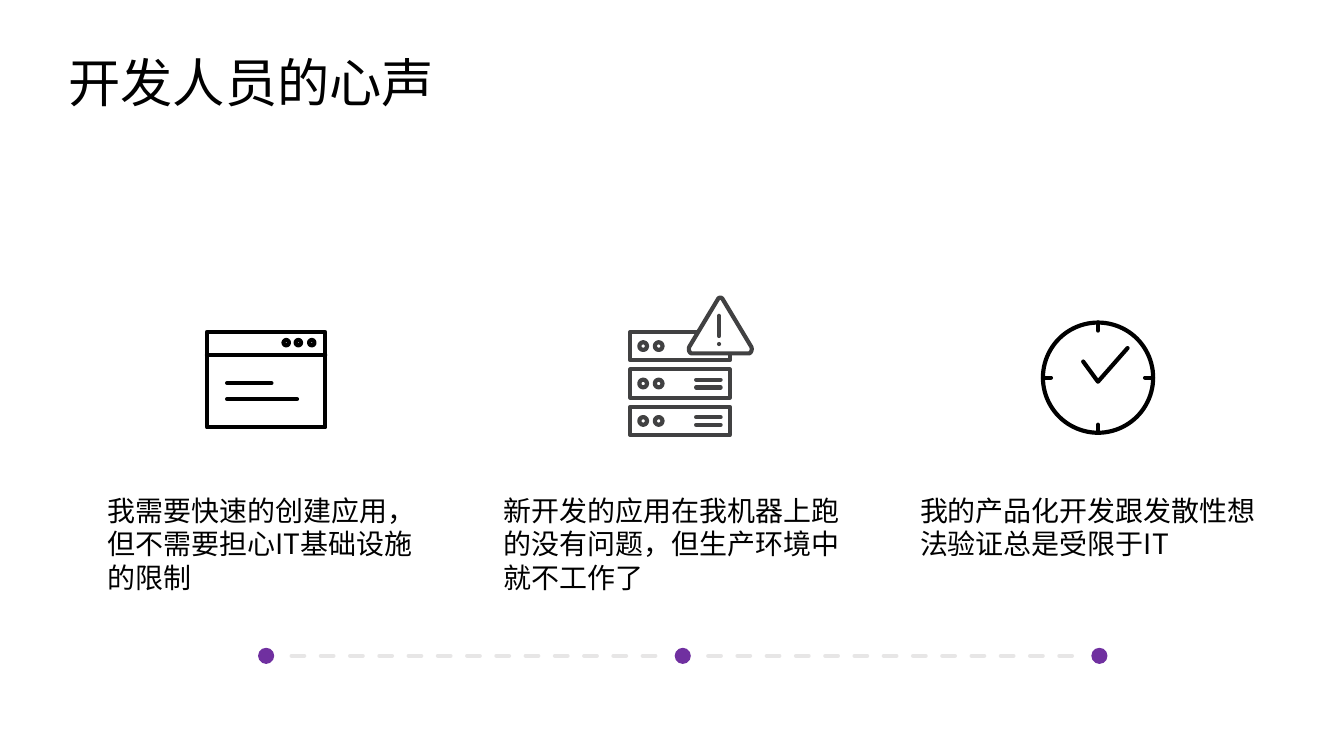
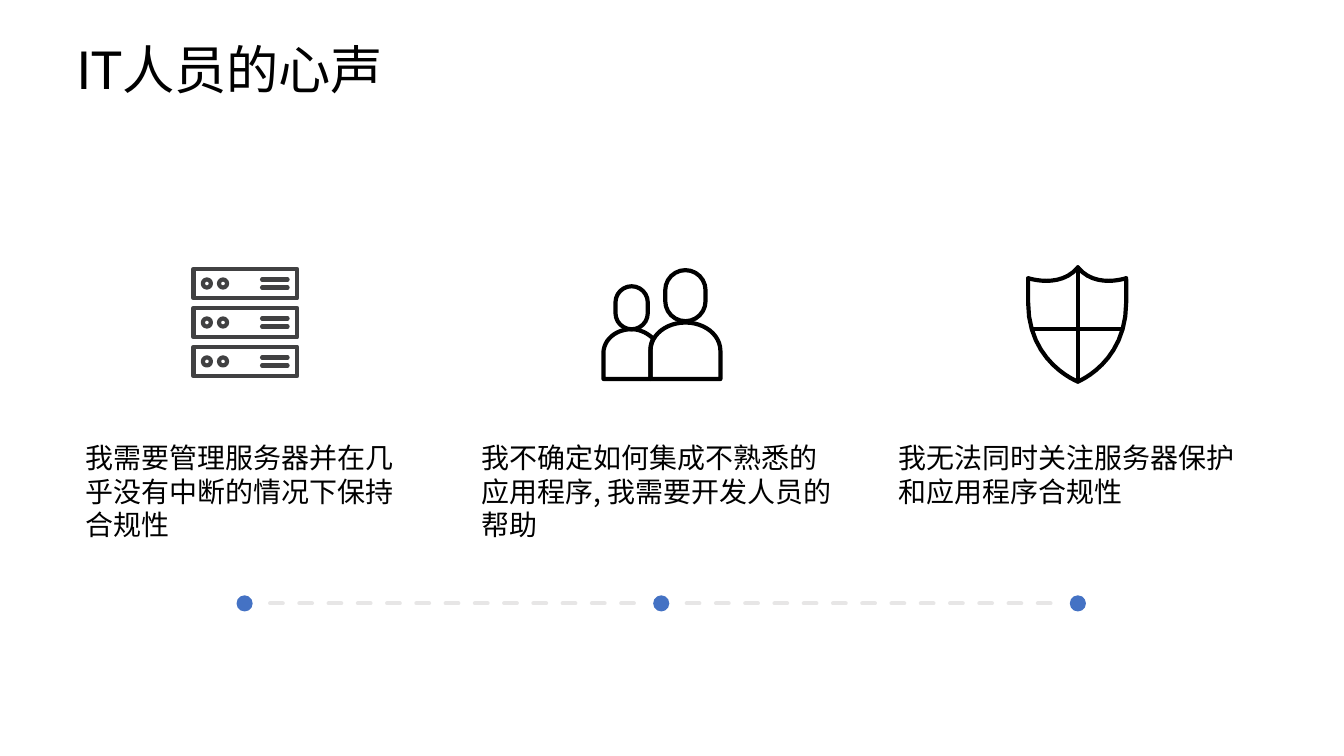
from lxml import etree
from pptx import Presentation
from pptx import util as u
from pptx.dml.color import RGBColor
from pptx.enum import dml, shapes, text
from pptx.oxml.ns import qn

COLORS = {"ink": "000000", "rack": "414142", "dash": "E7E6E6", "paper": "FFFFFF",
          "developer": "7030A0", "operator": "4472C4"}
CJK, LATIN = "Noto Sans CJK SC", "Lato"
STROKE = 2.25
COLUMN_PITCH = 3.1
CAPTION_WIDTHS = (2.6, 2.91, 2.91)
CAPTION_HEIGHTS = (0.99, 0.99, 0.74)


def rgb(name):
    """Return the palette colour called name."""
    return RGBColor.from_string(COLORS[name])


def stroke(part, color, dashed=False):
    """Give a part a round-ended line."""
    part.line.color.rgb = rgb(color)
    part.line.width = u.Pt(STROKE)
    if dashed:
        part.line.dash_style = dml.MSO_LINE.DASH
    ln = part._element.spPr.find(qn("a:ln"))
    ln.set("cap", "rnd")
    etree.SubElement(ln, qn("a:round"))


def finish(part, color, fill=None):
    """Outline a part, with a fill only when one is named."""
    part.shadow.inherit = False
    if fill:
        part.fill.solid()
        part.fill.fore_color.rgb = rgb(fill)
    else:
        part.fill.background()
    stroke(part, color)


def preset(slide, kind, left, top, width, height, color="ink"):
    """Draw an outlined preset shape."""
    part = slide.shapes.add_shape(kind, *map(u.Inches, (left, top, width, height)))
    finish(part, color)
    return part


def circle(slide, x, y, radius, color="ink"):
    """Draw an outlined circle around a centre."""
    preset(slide, shapes.MSO_SHAPE.OVAL, x - radius, y - radius, 2 * radius, 2 * radius, color)


def segment(slide, x1, y1, x2, y2, color="ink", dashed=False):
    """Draw a straight line."""
    line = slide.shapes.add_connector(shapes.MSO_CONNECTOR.STRAIGHT,
                                      *map(u.Inches, (x1, y1, x2, y2)))
    stroke(line, color, dashed)
    etree.SubElement(line._element.spPr, qn("a:effectLst"))


def curve(start, bend1, bend2, end, steps=12):
    """Return points along a cubic curve, after its start."""
    points = []
    for step in range(1, steps + 1):
        t = step / steps
        s = 1 - t
        points.append(tuple(s ** 3 * a + 3 * s * s * t * b + 3 * s * t * t * c + t ** 3 * d
                            for a, b, c, d in zip(start, bend1, bend2, end)))
    return points


def outline(slide, left, top, start, steps, closed=True, color="ink", fill=None):
    """Draw a path of points (x, y) and curves (x1, y1, x2, y2, x, y)."""
    points = [start]
    for step in steps:
        if len(step) == 2:
            points.append(step)
        else:
            points += curve(points[-1], step[:2], step[2:4], step[4:])
    placed = [(u.Inches(left + x), u.Inches(top + y)) for x, y in points]
    builder = slide.shapes.build_freeform(*placed[0])
    builder.add_line_segments(placed[1:], close=closed)
    finish(builder.convert_to_shape(), color, fill)


def browser_icon(slide, left, top):
    """Draw a browser window."""
    preset(slide, shapes.MSO_SHAPE.RECTANGLE, left, top, 0.88, 0.71)
    segment(slide, left, top + 0.17, left + 0.88, top + 0.17)
    for x in (0.59, 0.68, 0.78):
        circle(slide, left + x, top + 0.08, 0.02)
    for y, end in ((0.38, 0.48), (0.5, 0.67)):
        segment(slide, left + 0.15, top + y, left + end, top + y)


def rack_icon(slide, left, top, scale=1.0):
    """Draw a stack of three servers."""
    for unit in range(3):
        y = top + unit * 0.29 * scale
        preset(slide, shapes.MSO_SHAPE.RECTANGLE, left, y, 0.77 * scale, 0.22 * scale, "rack")
        for x in (0.1, 0.22):
            circle(slide, left + x * scale, y + 0.11 * scale, 0.03 * scale, "rack")
        for bar in (0.08, 0.14):
            segment(slide, left + 0.51 * scale, y + bar * scale,
                    left + 0.7 * scale, y + bar * scale, "rack")


def failing_rack_icon(slide, left, top):
    """Draw a stack of servers with a warning sign on its corner."""
    rack_icon(slide, left, top + 0.26, 0.96)
    outline(slide, left + 0.43, top, (0.26, 0.02),
            [(0.47, 0.37), (0.48, 0.39, 0.47, 0.42, 0.45, 0.42), (0.03, 0.42),
             (0.01, 0.42, 0, 0.39, 0.01, 0.37), (0.22, 0.02),
             (0.23, 0, 0.25, 0, 0.26, 0.02)], color="rack", fill="paper")
    segment(slide, left + 0.66, top + 0.14, left + 0.66, top + 0.29, "rack")
    segment(slide, left + 0.66, top + 0.35, left + 0.66, top + 0.35, "rack")


def clock_icon(slide, left, top):
    """Draw a clock with four ticks."""
    radius, tick = 0.41, 0.06
    x, y = left + radius, top + radius
    circle(slide, x, y, radius)
    outline(slide, left, top, (0.63, 0.19), [(0.41, 0.44), (0.3, 0.29)], closed=False)
    for dx, dy in ((0, -1), (0, 1), (1, 0), (-1, 0)):
        inner = radius - tick
        segment(slide, x + dx * radius, y + dy * radius, x + dx * inner, y + dy * inner)


def team_icon(slide, left, top):
    """Draw two people side by side."""
    for x, y, width, height in ((0.09, 0.12, 0.24, 0.32), (0.46, 0, 0.3, 0.38)):
        head = preset(slide, shapes.MSO_SHAPE.ROUNDED_RECTANGLE, left + x, top + y, width, height)
        head.adjustments[0] = 0.5
    outline(slide, left, top, (0.61, 0.39),
            [(0.47, 0.39, 0.35, 0.48, 0.35, 0.6), (0.35, 0.81), (0.87, 0.81), (0.87, 0.6),
             (0.87, 0.48, 0.75, 0.39, 0.61, 0.39)])
    outline(slide, left, top, (0.35, 0.59),
            [(0.35, 0.56, 0.36, 0.53, 0.37, 0.51), (0.33, 0.47, 0.27, 0.44, 0.21, 0.44),
             (0.09, 0.44, 0, 0.52, 0, 0.62), (0, 0.81), (0.35, 0.81)])


def shield_icon(slide, left, top):
    """Draw a quartered shield."""
    middle, width = 0.37, 0.73
    for side, inward in ((0, 0.24), (width, 0.5)):
        outline(slide, left, top, (side, 0.08),
                [(side, 0.08, inward, 0.16, middle, 0)], closed=False)
    outline(slide, left, top, (width, 0.09),
            [(width, 0.26), (width, 0.71, middle, 0.85, middle, 0.85),
             (middle, 0.85, 0, 0.71, 0, 0.26), (0, 0.09)], closed=False)
    segment(slide, left + middle, top, left + middle, top + 0.85)
    segment(slide, left + 0.04, top + 0.46, left + 0.69, top + 0.46)


def words(slide, box, runs, size, inset, leading=None):
    """Write one paragraph of (text, typeface) runs and return its frame."""
    frame = slide.shapes.add_textbox(*map(u.Inches, box)).text_frame
    frame.word_wrap = True
    frame.margin_left = frame.margin_right = u.Inches(inset)
    frame.margin_top = frame.margin_bottom = u.Inches(inset)
    paragraph = frame.paragraphs[0]
    paragraph.line_spacing = u.Pt(leading) if leading else None
    paragraph.font.size = u.Pt(size)
    paragraph.font.color.rgb = rgb("ink")
    paragraph.font.name = CJK
    for content, typeface in runs:
        run = paragraph.add_run()
        run.text = content
        run.font.name = typeface
        etree.SubElement(run.font._element, qn("a:ea")).set("typeface", CJK)
    return frame


def title(slide, box, runs, leading=None):
    """Write the slide title."""
    words(slide, box, runs, 28, 0.03, leading).vertical_anchor = text.MSO_ANCHOR.MIDDLE


def voices(slide, left, top, captions, accent):
    """Place three captions above a dashed line of dots."""
    first, level, radius = left + CAPTION_WIDTHS[0] / 2, top + 1.33, 0.06
    columns = zip(captions, CAPTION_WIDTHS, CAPTION_HEIGHTS)
    for column, (caption, width, height) in enumerate(columns):
        center = first + column * COLUMN_PITCH
        frame = words(slide, (center - width / 2, top, width, height),
                      [(caption, CJK)], 15, 0.12, 18)
        frame.paragraphs[0].space_after = u.Pt(17.6)
        dot = slide.shapes.add_shape(
            shapes.MSO_SHAPE.OVAL,
            *map(u.Inches, (center - radius, level - radius, 2 * radius, 2 * radius)))
        dot.shadow.inherit = False
        dot.fill.solid()
        dot.fill.fore_color.rgb = rgb(accent)
        dot.line.fill.background()
        if column:
            segment(slide, center - COLUMN_PITCH + 0.19, level, center - 0.2, level, "dash", True)


def developer_slide(slide):
    """Build the slide with the developers' wishes."""
    title(slide, (0.48, 0.34, 4.68, 0.53), [("开发人员的心声", CJK)])
    voices(slide, 0.68, 3.55,
           ("我需要快速的创建应用，但不需要担心IT基础设施的限制",
            "新开发的应用在我机器上跑的没有问题，但生产环境中就不工作了",
            "我的产品化开发跟发散性想法验证总是受限于IT"), "developer")
    browser_icon(slide, 1.54, 2.47)
    failing_rack_icon(slide, 4.69, 2.21)
    clock_icon(slide, 7.76, 2.4)


def operator_slide(slide):
    """Build the slide with the IT staff's wishes."""
    title(slide, (0.54, 0.25, 2.35, 0.53), [("IT", LATIN), ("人员的心声", CJK)], 33.5)
    voices(slide, 0.52, 3.16,
           ("我需要管理服务器并在几乎没有中断的情况下保持合规性",
            "我不确定如何集成不熟悉的应用程序, 我需要开发人员的帮助",
            "我无法同时关注服务器保护和应用程序合规性"), "operator")
    rack_icon(slide, 1.44, 2)
    team_icon(slide, 4.49, 2.01)
    shield_icon(slide, 7.65, 1.99)


def main():
    """Build and save the deck."""
    deck = Presentation()
    deck.slide_width = u.Inches(10)
    deck.slide_height = deck.slide_width * 9 // 16
    for build in (developer_slide, operator_slide):
        build(deck.slides.add_slide(deck.slide_layouts[6]))
    deck.save("out.pptx")


if __name__ == "__main__":
    main()
